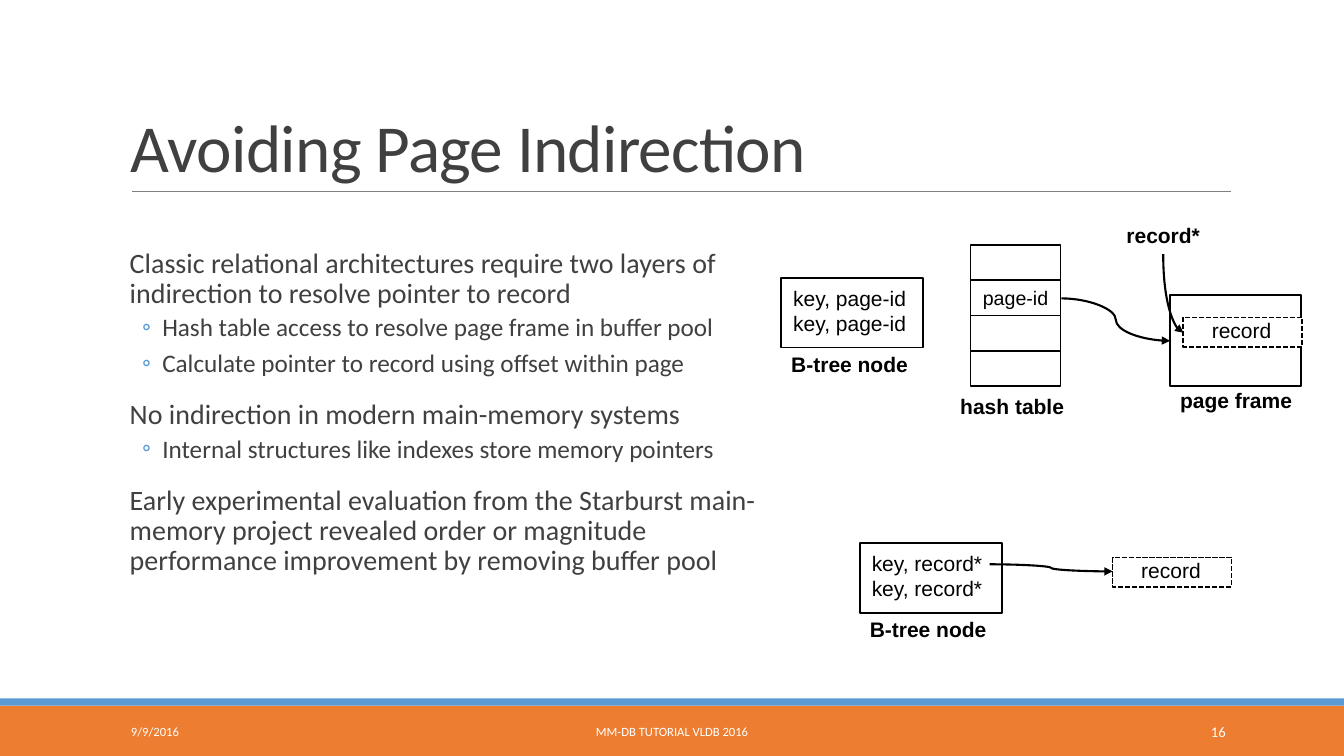
"""Build the slide on avoiding page indirection in main-memory databases."""
from lxml import etree
from pptx import Presentation
from pptx.dml.color import RGBColor
from pptx.enum.dml import MSO_LINE
from pptx.enum.shapes import MSO_CONNECTOR, MSO_SHAPE
from pptx.enum.text import MSO_ANCHOR, PP_ALIGN
from pptx.oxml.ns import qn
from pptx.util import Cm, Pt

RECT = MSO_SHAPE.RECTANGLE
STRAIGHT, CURVE = MSO_CONNECTOR.STRAIGHT, MSO_CONNECTOR.CURVE
LEFT, CENTER, RIGHT = PP_ALIGN.LEFT, PP_ALIGN.CENTER, PP_ALIGN.RIGHT
TOP, MIDDLE, BOTTOM = MSO_ANCHOR.TOP, MSO_ANCHOR.MIDDLE, MSO_ANCHOR.BOTTOM
DASH = MSO_LINE.SQUARE_DOT

BLACK = RGBColor(0x00, 0x00, 0x00)
WHITE = RGBColor(0xFF, 0xFF, 0xFF)
DARK = RGBColor(0x40, 0x40, 0x40)
GRAY = RGBColor(0x80, 0x80, 0x80)
ORANGE = RGBColor(0xED, 0x7D, 0x31)
BLUE = RGBColor(0x5B, 0x9B, 0xD5)

TITLE = "Avoiding Page Indirection"
BODY = [
    (0, "Classic relational architectures require two layers of indirection to resolve pointer to record"),
    (1, "Hash table access to resolve page frame in buffer pool"),
    (1, "Calculate pointer to record using offset within page"),
    (0, "No indirection in modern main-memory systems"),
    (1, "Internal structures like indexes store memory pointers"),
    (0, "Early experimental evaluation from the Starburst main-memory project revealed order or magnitude "
        "performance improvement by removing buffer pool"),
]
LEVELS = [
    {"size": 20, "margin": 0.25, "before": 12, "after": 2},
    {"size": 18, "margin": 1.07, "before": 2, "after": 4},
]
FOOTERS = [
    ("9/9/2016", 3.05, 6.86, 9, LEFT),
    ("MM-DB TUTORIAL VLDB 2016", 10.24, 13.39, 9, CENTER),
    ("16", 27.51, 3.63, 10.5, RIGHT),
]
BANDS = [(17.78, 1.27, ORANGE), (17.6, 0.18, BLUE)]

NODE_W, NODE_H = 3.58, 1.75
NODES = [
    (19.69, 7.01, ["key, page-id", "key, page-id"]),
    (21.67, 13.69, ["key, record*", "key, record*"]),
]
CELLS = ["", "page-id", "", ""]
CELL_X, CELL_Y, CELL_W, CELL_H = 24.46, 6.17, 2.27, 0.89
PAGE_FRAME = (29.49, 7.44, 3.3, 2.29)
RECORD_W, RECORD_H = 3, 0.74
RECORDS = [(29.82, 8), (28.04, 14.05)]
LABELS = [
    ("hash table", 23.95, 9.78, 3.28, LEFT),
    ("page frame", 29.49, 9.63, 3.48, LEFT),
    ("record*", 28.12, 5.49, 2.39, CENTER),
]
ARROWS = [
    ((26.75, 7.52), (29.49, 8.59), {}, 0),
    ((24.94, 14.22), (28.04, 14.4), {}, 0),
    ((30.56, 7.14), (28.58, 7.65), {"prst": "curvedConnector2"}, 270),
]


def write(tf, lines, size, color=BLACK, font="Arial", bold=False, align=LEFT, anchor=TOP):
    for name, value in {"word_wrap": True, "vertical_anchor": anchor}.items():
        setattr(tf, name, value)
    for i, line in enumerate(lines):
        p = tf.paragraphs[0] if i == 0 else tf.add_paragraph()
        p.alignment = align
        r = p.add_run()
        r.text = line
        for name, value in {"size": Pt(size), "name": font, "bold": bold}.items():
            setattr(r.font, name, value)
        r.font.color.rgb = color


def textbox(s, x, y, w, h, lines, size, **fmt):
    tf = s.shapes.add_textbox(Cm(x), Cm(y), Cm(w), Cm(h)).text_frame
    write(tf, lines, size, **fmt)
    return tf


def box(s, x, y, w, h, fill=WHITE, line=BLACK, dash=None):
    sp = s.shapes.add_shape(RECT, Cm(x), Cm(y), Cm(w), Cm(h))
    sp.shadow.inherit = False
    sp.fill.solid()
    sp.fill.fore_color.rgb = fill
    if line is None:
        sp.line.fill.background()
    else:
        sp.line.color.rgb = line
        sp.line.width = Pt(1.25)
        sp.line.dash_style = dash
    return sp


def connect(s, kind, start, end, color, width):
    c = s.shapes.add_connector(kind, *(Cm(v) for v in start + end))
    c.line.color.rgb = color
    c.line.width = Pt(width)
    etree.SubElement(c._element.spPr, qn("a:effectLst"))
    return c


def arrow(s, start, end, geometry, rotation):
    c = connect(s, CURVE, start, end, BLACK, 1.5)
    spPr = c._element.spPr
    for name, value in geometry.items():
        spPr.find(qn("a:prstGeom")).set(name, value)
    spPr.find(qn("a:xfrm")).set("rot", str(rotation * 60000))
    etree.SubElement(spPr.find(qn("a:ln")), qn("a:tailEnd"), type="triangle")


def add_body(s):
    tf = s.shapes.add_textbox(Cm(3.02), Cm(6.15), Cm(16.59), Cm(9.27)).text_frame
    tf.word_wrap = True
    tf.margin_left = tf.margin_right = 0
    for i, (level, text) in enumerate(BODY):
        fmt = LEVELS[level]
        p = tf.paragraphs[0] if i == 0 else tf.add_paragraph()
        pPr = p._p.get_or_add_pPr()
        pPr.set("marL", str(Cm(fmt["margin"])))
        if level:
            pPr.set("indent", str(-Cm(0.51)))
            clr = etree.SubElement(pPr, qn("a:buClr"))
            etree.SubElement(clr, qn("a:srgbClr"), val=str(BLUE))
            etree.SubElement(pPr, qn("a:buFont"), typeface="Calibri")
            etree.SubElement(pPr, qn("a:buChar"), char="◦")
        spacing = {"level": level, "line_spacing": 0.9, "space_after": Pt(fmt["after"]),
                   "space_before": Pt(fmt["before"] if i else 0)}
        for name, value in spacing.items():
            setattr(p, name, value)
        r = p.add_run()
        r.text = text
        for name, value in {"size": Pt(fmt["size"]), "name": "Calibri"}.items():
            setattr(r.font, name, value)
        r.font.color.rgb = DARK


def add_frame(s):
    for y, h, color in BANDS:
        box(s, 0, y, 33.87, h, color, None)
    connect(s, STRAIGHT, (3.33, 4.83), (31.01, 4.83), GRAY, 0.5)
    tf = textbox(s, 3.05, 0.79, 27.94, 4.04, [TITLE], 48, color=DARK, font="Calibri", anchor=BOTTOM)
    p = tf.paragraphs[0]
    p.line_spacing = 0.85
    p.runs[0].font._element.set("spc", "-50")
    for text, x, w, size, align in FOOTERS:
        textbox(s, x, 17.93, w, 1.02, [text], size, color=WHITE, font="Calibri", align=align, anchor=MIDDLE)


def add_diagrams(s):
    box(s, *PAGE_FRAME)
    for i, text in enumerate(CELLS):
        sp = box(s, CELL_X, CELL_Y + i * CELL_H, CELL_W, CELL_H)
        if text:
            write(sp.text_frame, [text], 14, align=CENTER, anchor=MIDDLE)
    for x, y in RECORDS:
        box(s, x, y, RECORD_W, RECORD_H, dash=DASH)
        textbox(s, x + 0.25, y - 0.12, 2.44, 0.89, ["record"], 15, align=CENTER)
    for x, y, keys in NODES:
        box(s, x, y, NODE_W, NODE_H)
        textbox(s, x + 0.05, y + 0.06, 3.48, 1.55, keys, 15)
        textbox(s, x, y + 1.72, 3.61, 0.89, ["B-tree node"], 15, bold=True)
    for text, x, y, w, align in LABELS:
        textbox(s, x, y, w, 0.89, [text], 15, bold=True, align=align)
    for start, end, geometry, rotation in ARROWS:
        arrow(s, start, end, geometry, rotation)


def main():
    prs = Presentation()
    prs.slide_width, prs.slide_height = Cm(33.87), Cm(19.05)
    s = prs.slides.add_slide(prs.slide_layouts[6])
    add_frame(s)
    add_body(s)
    add_diagrams(s)
    prs.save("out.pptx")


if __name__ == "__main__":
    main()
